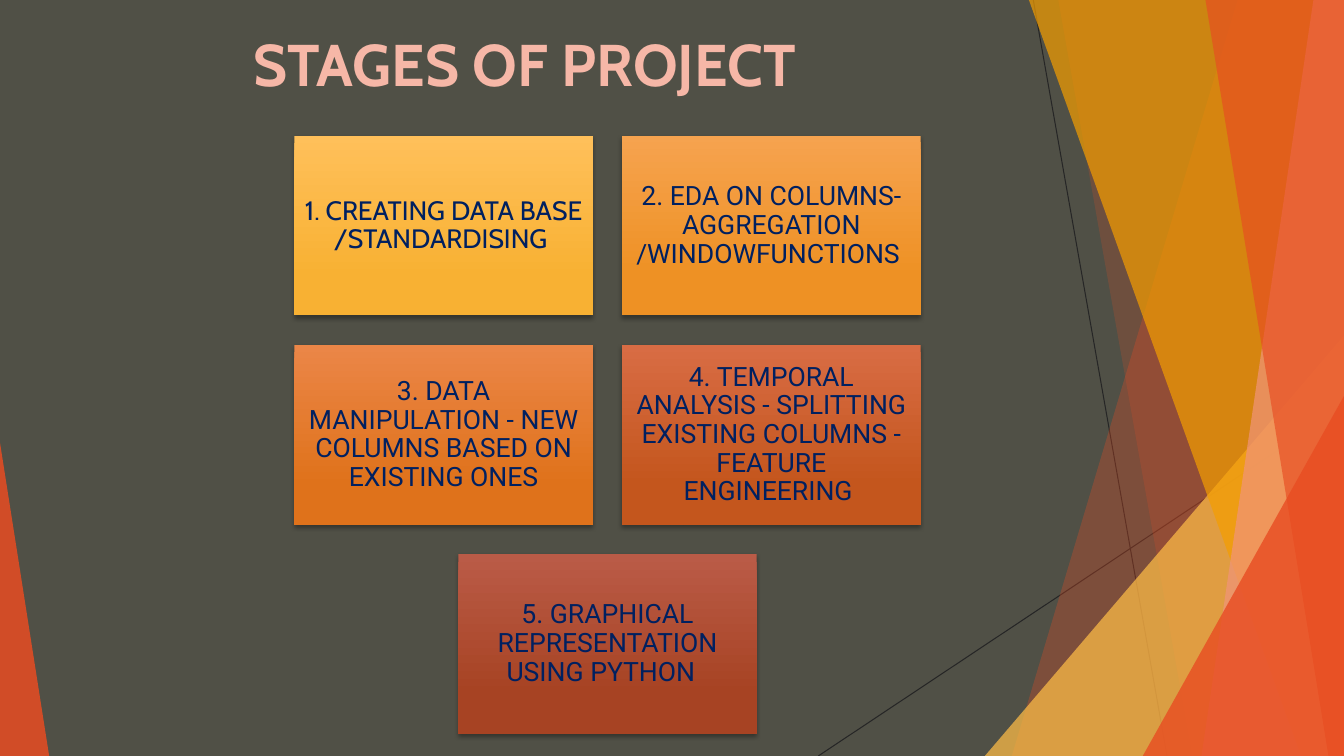
"""Build the slide listing the stages of the project."""
import lxml.etree
import pptx
import pptx.dml.color
import pptx.enum.shapes
import pptx.enum.text
import pptx.oxml.ns
import pptx.util
from pptx.util import Cm

SLIDE_WIDTH, SLIDE_HEIGHT = 33.87, 19.05
STAGE_WIDTH, STAGE_HEIGHT = 7.52, 4.52
STAGES = [
    ("1. CREATING DATA BASE /STANDARDISING ", "Cabin", "FFC05A", "F8B133"),
    ("2. EDA ON COLUMNS- AGGREGATION /WINDOWFUNCTIONS ", "Roboto", "F6A34F", "EE9124"),
    ("3. DATA MANIPULATION - NEW COLUMNS BASED ON EXISTING ONES", "Roboto", "EB8647", "DF721B"),
    ("4. TEMPORAL ANALYSIS - SPLITTING EXISTING COLUMNS - FEATURE ENGINEERING ",
     "Roboto", "D86C44", "C4561D"),
    ("5. GRAPHICAL REPRESENTATION USING PYTHON  ", "Roboto", "BA5B47", "A74323"),
]


def rgb(value):
    """Turn a hex string into a colour."""
    return pptx.dml.color.RGBColor.from_string(value)


def add_xml(parent, tag, **attributes):
    """Append a DrawingML element to its parent."""
    return lxml.etree.SubElement(parent, pptx.oxml.ns.qn(tag), attributes)


def paint(facet, color, opacity):
    """Give a facet a translucent fill without line or shadow."""
    facet.shadow.inherit = False
    facet.line.fill.background()
    facet.fill.solid()
    facet.fill.fore_color.rgb = rgb(color)
    tone = facet._element.spPr.find(".//" + pptx.oxml.ns.qn("a:srgbClr"))
    add_xml(tone, "a:alpha", val=str(opacity * 1000))


def add_ray(slide, x1, y1, x2, y2):
    """Draw a thin dark line."""
    ray = slide.shapes.add_connector(
        pptx.enum.shapes.MSO_CONNECTOR.STRAIGHT, Cm(x1), Cm(y1), Cm(x2), Cm(y2))
    ray.line.color.rgb = rgb("262626")
    ray.line.width = pptx.util.Pt(0.75)
    add_xml(ray._element.spPr, "a:effectLst")


def add_band(slide, top_x, bottom_x, color, opacity):
    """Draw a full-height band from a slanted edge to the right side."""
    outline = slide.shapes.build_freeform(Cm(top_x), 0, scale=1.0)
    outline.add_line_segments([
        (Cm(SLIDE_WIDTH), 0),
        (Cm(SLIDE_WIDTH), Cm(SLIDE_HEIGHT)),
        (Cm(bottom_x), Cm(SLIDE_HEIGHT)),
    ], close=True)
    paint(outline.convert_to_shape(), color, opacity)


def add_corner(slide, left, width, height, apex, color, opacity):
    """Draw a right triangle standing on the bottom edge."""
    corner = slide.shapes.add_shape(
        pptx.enum.shapes.MSO_SHAPE.ISOSCELES_TRIANGLE,
        Cm(left), Cm(SLIDE_HEIGHT - height), Cm(width), Cm(height))
    corner.adjustments[0] = apex
    paint(corner, color, opacity)


def add_backdrop(slide):
    """Draw the rays and facets along the slide edges."""
    add_ray(slide, 26.04, 0, 29.41, SLIDE_HEIGHT)
    add_ray(slide, SLIDE_WIDTH, 10.24, 20.62, SLIDE_HEIGHT)
    add_band(slide, 31.19, 25.5, "E84C22", 30)
    add_band(slide, 26.67, 30.05, "E84C22", 20)
    add_corner(slide, 24.82, 9.05, 10.59, 1, "FFBD47", 72)
    add_band(slide, 25.93, 32.79, "F49D00", 70)
    add_band(slide, 33.1, 30.28, "F1947A", 70)
    add_band(slide, 30.38, 33.48, "E84C22", 65)
    add_corner(slide, 28.8, 5.07, 9.07, 1, "E84C22", 80)
    add_corner(slide, 0, 1.24, 7.9, 0, "E84C22", 85)


def add_title(slide, wording):
    """Write the heading."""
    heading = slide.shapes.add_textbox(Cm(1.88), Cm(0.58), Cm(23.88), Cm(3.66)).text_frame
    heading.word_wrap = True
    heading.margin_left = Cm(4.5)
    line = heading.paragraphs[0]
    line.text = wording
    line.font.name = "Cabin"
    line.font.size = pptx.util.Pt(42)
    line.font.bold = True
    line.font.color.rgb = rgb("F6B7A7")


def add_stage(slide, left, top, wording, typeface, upper, lower):
    """Draw one stage as a shaded card with centred text."""
    card = slide.shapes.add_shape(
        pptx.enum.shapes.MSO_SHAPE.RECTANGLE,
        Cm(left), Cm(top), Cm(STAGE_WIDTH), Cm(STAGE_HEIGHT))
    card.line.fill.background()
    card.fill.gradient()
    card.fill.gradient_angle = 270
    for stop, position, color in zip(card.fill.gradient_stops, (0, 0.78), (upper, lower)):
        stop.position = position
        stop.color.rgb = rgb(color)
    card.shadow.inherit = False
    effects = card._element.spPr.find(pptx.oxml.ns.qn("a:effectLst"))
    shadow = add_xml(effects, "a:outerShdw", blurRad="38100", dist="25400",
                     dir="5400000", rotWithShape="0")
    add_xml(add_xml(shadow, "a:srgbClr", val="000000"), "a:alpha", val="35000")

    label = card.text_frame
    label.word_wrap = True
    label.vertical_anchor = pptx.enum.text.MSO_ANCHOR.MIDDLE
    label.margin_left = label.margin_right = Cm(0.2)
    label.margin_top = label.margin_bottom = Cm(0.2)
    line = label.paragraphs[0]
    line.text = wording
    line.alignment = pptx.enum.text.PP_ALIGN.CENTER
    line.line_spacing = 0.9
    line.font.name = typeface
    line.font.size = pptx.util.Pt(19)
    line.font.color.rgb = rgb("002060")


def main():
    """Assemble and save the slide."""
    deck = pptx.Presentation()
    deck.slide_width, deck.slide_height = Cm(SLIDE_WIDTH), Cm(SLIDE_HEIGHT)
    slide = deck.slides.add_slide(deck.slide_layouts[6])
    slide.background.fill.solid()
    slide.background.fill.fore_color.rgb = rgb("505046")
    add_backdrop(slide)
    add_title(slide, "STAGES OF PROJECT")
    for index, stage in enumerate(STAGES):
        row, column = divmod(index, 2)
        if index == len(STAGES) - 1:
            column = 0.5
        add_stage(slide, 7.42 + column * 8.26, 3.43 + row * 5.27, *stage)
    deck.save("out.pptx")


if __name__ == "__main__":
    main()
